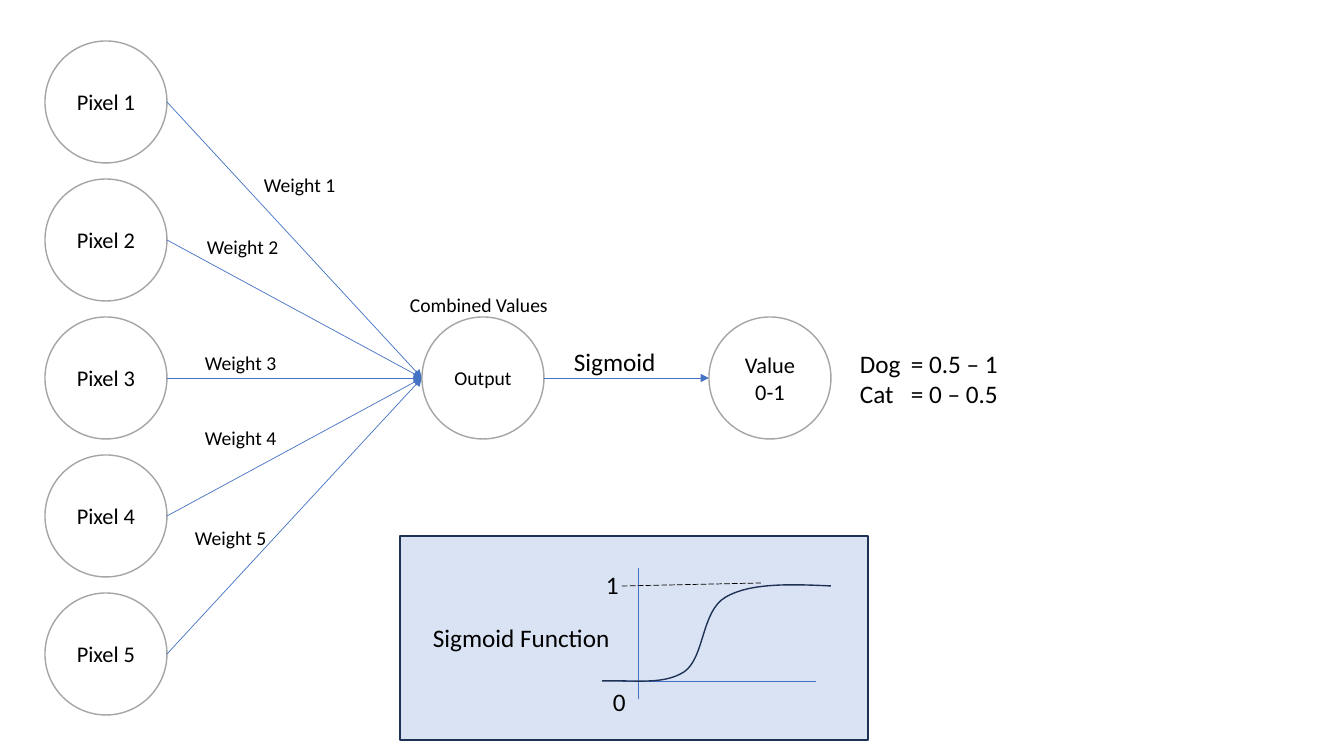
from dataclasses import dataclass
from lxml.etree import SubElement
from pptx import Presentation
from pptx.dml.color import RGBColor as RGB
from pptx.enum.dml import MSO_LINE_DASH_STYLE as Dash
from pptx.enum.shapes import MSO_CONNECTOR as Link, MSO_SHAPE as Preset
from pptx.enum.text import MSO_ANCHOR as Anchor, MSO_AUTO_SIZE as AutoSize, PP_ALIGN as Align
from pptx.oxml.ns import qn
from pptx.util import Pt

EMU_PER_PX = 914400 / 100.8


@dataclass(frozen=True)
class Theme:
    font: str = "Calibri"
    ink: RGB = RGB(0, 0, 0)
    white: RGB = RGB(0xFF, 0xFF, 0xFF)
    ring: RGB = RGB(0xA5, 0xA5, 0xA5)
    arrow: RGB = RGB(0x44, 0x72, 0xC4)
    navy: RGB = RGB(0x1E, 0x32, 0x56)
    panel: RGB = RGB(0xDA, 0xE3, 0xF3)
    small: int = 14
    medium: int = 16
    large: int = 18
    thin: float = 0.5
    outline: float = 1


THEME = Theme()
DIAMETER = 122
FIRST_TOP, PITCH = 41, 138
PIXEL_X, OUTPUT_X, VALUE_X = 45, 422, 709


def px(*lengths):
    return [round(length * EMU_PER_PX) for length in lengths]


def apply(target, values):
    for name, value in values.items():
        setattr(target, name, value)


def set_line(line, color, width):
    line.color.rgb = color
    line.width = Pt(width)


def write(frame, text, size, align):
    frame.text = text
    for paragraph in frame.paragraphs:
        paragraph.alignment = align
        for run in paragraph.runs:
            apply(run.font, {"name": THEME.font, "size": Pt(size)})
            run.font.color.rgb = THEME.ink


def add_block(slide, preset, box, fill, line):
    block = slide.shapes.add_shape(preset, *px(*box))
    block.shadow.inherit = False
    block.fill.solid()
    block.fill.fore_color.rgb = fill
    set_line(block.line, line, THEME.outline)
    return block


def add_node(slide, left, top, text, size=THEME.medium):
    box = (left, top, DIAMETER, DIAMETER)
    node = add_block(slide, Preset.OVAL, box, THEME.white, THEME.ring)
    apply(node.text_frame, {"word_wrap": True, "vertical_anchor": Anchor.MIDDLE})
    write(node.text_frame, text, size, Align.CENTER)


def add_label(slide, box, text, size, tab=None):
    frame = slide.shapes.add_textbox(*px(*box)).text_frame
    apply(frame, {"word_wrap": False, "auto_size": AutoSize.SHAPE_TO_FIT_TEXT})
    write(frame, text, size, Align.LEFT)
    if tab:
        for paragraph in frame.paragraphs:
            stops = SubElement(paragraph._p.get_or_add_pPr(), qn("a:tabLst"))
            SubElement(stops, qn("a:tab"), pos=str(px(tab)[0]), algn="l")


def add_line(slide, start, end, color=THEME.arrow, dash=None, arrow=False):
    link = slide.shapes.add_connector(Link.STRAIGHT, *px(*start, *end))
    set_line(link.line, color, THEME.thin)
    if dash:
        link.line.dash_style = dash
    if arrow:
        SubElement(link.line._get_or_add_ln(), qn("a:tailEnd"), type="triangle")
    SubElement(link._element.spPr, qn("a:effectLst"))


def add_curve(slide, start, controls):
    """Draw a cubic curve; every three controls make one segment."""
    builder = slide.shapes.build_freeform(*start, scale=EMU_PER_PX)
    builder.add_line_segments(controls, close=False)
    curve = builder.convert_to_shape()
    curve.shadow.inherit = False
    curve.fill.background()
    set_line(curve.line, THEME.navy, THEME.outline)
    steps = curve._element.xpath(".//a:lnTo")
    outline = steps[0].getparent()
    for first in range(0, len(steps), 3):
        bezier = SubElement(outline, qn("a:cubicBezTo"))
        for step in steps[first:first + 3]:
            bezier.append(step[0])
            outline.remove(step)


def add_network(slide):
    output_top = FIRST_TOP + 2 * PITCH
    middle = output_top + DIAMETER // 2
    weight_spots = [(254, 168), (197, 230), (195, 346), (195, 421), (185, 521)]

    # Input pixels with their weighted arrows
    for index, spot in enumerate(weight_spots):
        top = FIRST_TOP + index * PITCH
        add_node(slide, PIXEL_X, top, f"Pixel {index + 1}")
        add_line(slide, (PIXEL_X + DIAMETER, top + DIAMETER // 2),
                 (OUTPUT_X, middle), arrow=True)
        add_label(slide, (*spot, 93, 34), f"Weight {index + 1}", THEME.small)

    # Output, activation and final value
    add_node(slide, OUTPUT_X, output_top, "Output", THEME.small)
    add_node(slide, VALUE_X, output_top, "Value 0-1")
    add_line(slide, (OUTPUT_X + DIAMETER, middle), (VALUE_X, middle), arrow=True)
    add_label(slide, (400, 288, 159, 34), "Combined Values", THEME.small)
    add_label(slide, (564, 341, 103, 40), "Sigmoid", THEME.large)
    add_label(slide, (850, 343, 161, 72), "Dog\t= 0.5 – 1\nCat\t= 0 – 0.5",
              THEME.large, tab=51)


def add_sigmoid_panel(slide):
    add_block(slide, Preset.RECTANGLE, (400, 536, 468, 204), THEME.panel, THEME.navy)
    add_label(slide, (423, 617, 200, 40), "Sigmoid Function", THEME.large)

    # Axes and upper limit
    add_line(slide, (638, 568), (638, 699))
    add_line(slide, (622, 681), (816, 681))
    add_line(slide, (622, 586), (761, 583), THEME.ink, Dash.LONG_DASH)
    add_label(slide, (603, 681, 33, 40), "0", THEME.large)
    add_label(slide, (596, 564, 33, 40), "1", THEME.large)

    # Function curve
    add_curve(slide, (602, 681), [
        (638, 680), (663, 685), (684, 672),
        (705, 658), (701, 611), (726, 597),
        (750, 583), (790, 584), (831, 586)])


def main():
    deck = Presentation()
    deck.slide_width, deck.slide_height = px(1344, 756)
    slide = deck.slides.add_slide(deck.slide_layouts[6])
    add_sigmoid_panel(slide)
    add_network(slide)
    deck.save("out.pptx")


main()
